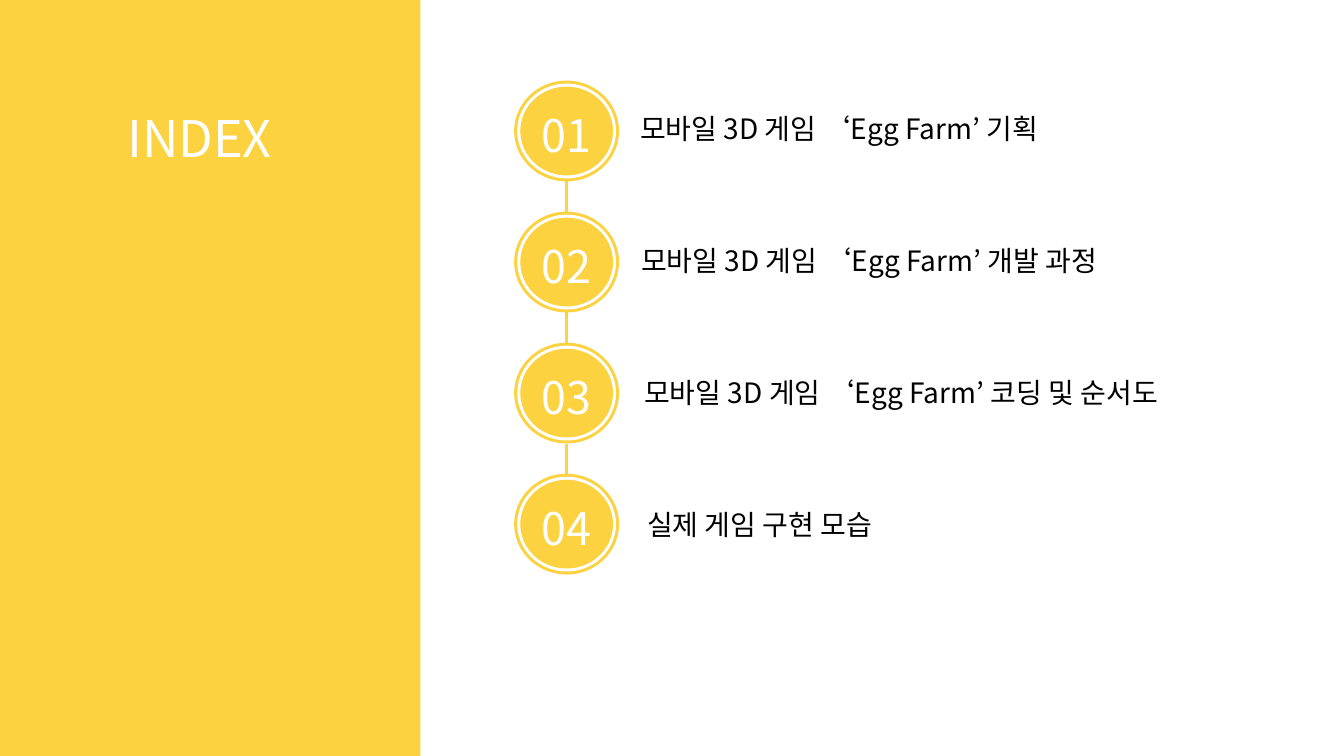
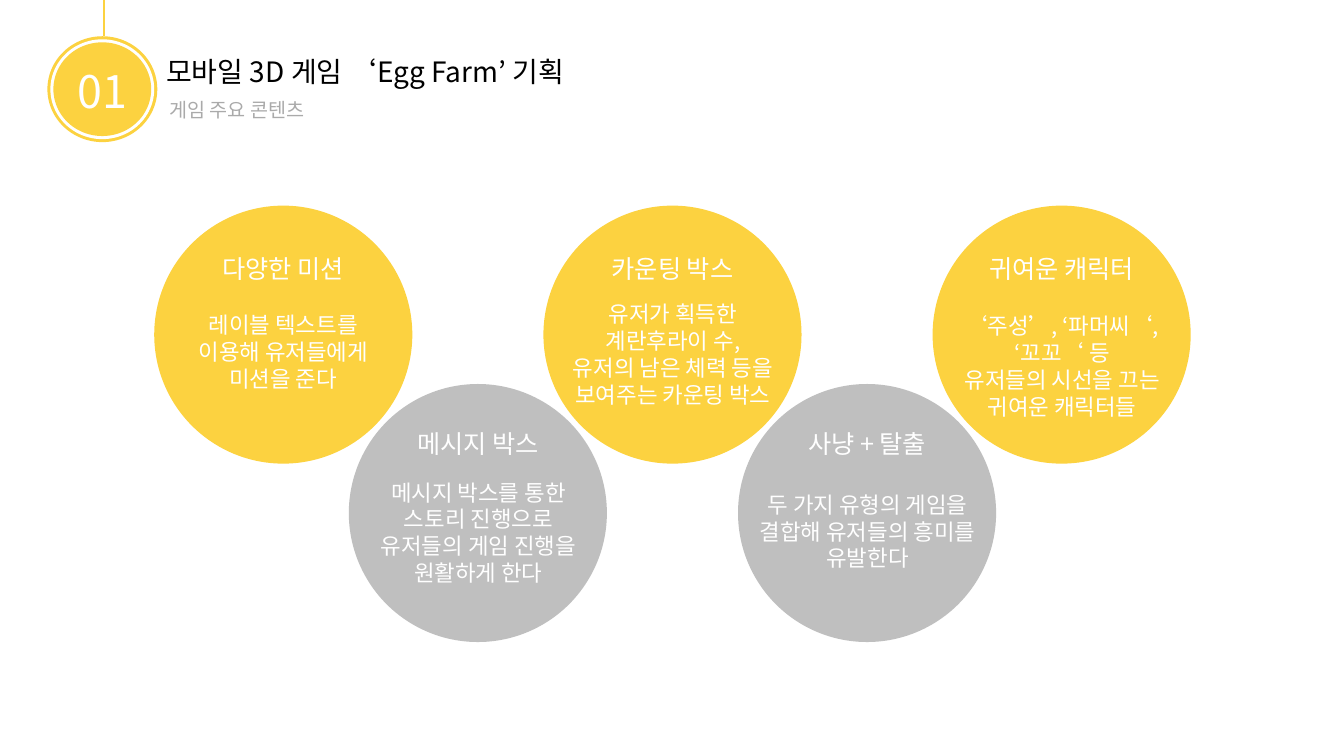
import pptx
import pptx.util
import pptx.dml.color
import pptx.enum.shapes
import pptx.enum.text
import pptx.oxml.ns
import lxml.etree

PX = 9144  # EMU in one px, 100 px to the inch
FONT = "Noto Sans CJK KR"
YELLOW, GREY, WHITE, BLACK, MUTED = "FCD240", "BFBFBF", "FFFFFF", "000000", "AAAAAA"
PLAN = "모바일 3D 게임 ‘Egg Farm’ 기획"
SHAPE = pptx.enum.shapes.MSO_SHAPE
ALIGN = pptx.enum.text.PP_ALIGN

INDEX_ENTRIES = [  # label, left, width
    (PLAN, 625, 477),
    ("모바일 3D 게임 ‘Egg Farm’ 개발 과정", 626, 576),
    ("모바일 3D 게임 ‘Egg Farm’ 코딩 및 순서도", 629, 654),
    ("실제 게임 구현 모습", 632, 358),
]
FEATURES = [  # title, body, body width, body offset from circle top
    ("다양한 미션", ["레이블 텍스트를 이용해 유저들에게 미션을 준다"], 200, 100),
    ("메시지 박스",
     ["메시지 박스를 통한", "스토리 진행으로", "유저들의 게임 진행을 원활하게 한다"], 219, 89),
    ("카운팅 박스",
     ["유저가 획득한", "계란후라이 수,", "유저의 남은 체력 등을 보여주는 카운팅 박스"], 247, 89),
    ("사냥 + 탈출", ["두 가지 유형의 게임을 결합해 유저들의 흥미를 유발한다"], 247, 101),
    ("귀여운 캐릭터",
     ["‘주성’, ‘파머씨‘, ‘꼬꼬‘ 등", "유저들의 시선을 끄는", "귀여운 캐릭터들"], 247, 101),
]


def px(*lengths):
    return [pptx.util.Emu(n * PX) for n in lengths]


def rgb(value):
    return pptx.dml.color.RGBColor.from_string(value)


def add_filled(s, kind, x, y, w, h, fill):
    sp = s.shapes.add_shape(kind, *px(x, y, w, h))
    sp.shadow.inherit = False
    sp.fill.solid()
    sp.fill.fore_color.rgb = rgb(fill)
    sp.line.fill.background()
    return sp


def add_text(s, paragraphs, x, y, w, h, size=20, color=BLACK, align=ALIGN.LEFT):
    """Add a text box; paragraphs is one string or a list of them."""
    if isinstance(paragraphs, str):
        paragraphs = [paragraphs]
    tf = s.shapes.add_textbox(*px(x, y, w, h)).text_frame
    tf.word_wrap = True
    tf.auto_size = pptx.enum.text.MSO_AUTO_SIZE.SHAPE_TO_FIT_TEXT
    for i, text in enumerate(paragraphs):
        p = tf.add_paragraph() if i else tf.paragraphs[0]
        p.alignment = align
        r = p.add_run()
        r.text = text
        r.font.name = FONT
        r.font.size = pptx.util.Pt(size)
        r.font.color.rgb = rgb(color)
        ea = lxml.etree.SubElement(r.font._element, pptx.oxml.ns.qn("a:ea"))
        ea.set("typeface", FONT)


def add_line(s, x, top, bottom, width):
    line = s.shapes.add_connector(
        pptx.enum.shapes.MSO_CONNECTOR.STRAIGHT, *px(x, bottom, x, top))
    line.line.color.rgb = rgb(YELLOW)
    line.line.width = pptx.util.Pt(width)
    lxml.etree.SubElement(line._element.spPr, pptx.oxml.ns.qn("a:effectLst"))


def add_badge(s, number, x, y, w, h):
    """Add a numbered disc with a white ring."""
    for inset, fill in ((0, YELLOW), (3, WHITE), (6, YELLOW)):
        add_filled(s, SHAPE.FLOWCHART_CONNECTOR, x + inset, y + inset,
                   w - 2 * inset, h - 2 * inset, fill)
    add_text(s, f"{number:02d}", x + 8, y + 22, w - 16, 64,
             size=32, color=WHITE, align=ALIGN.CENTER)


def add_side_band(s, x, y, w, h):
    add_filled(s, SHAPE.RECTANGLE, x, y, w, h, YELLOW)
    add_text(s, "INDEX", x + 93, y + 101, 210, 71,
             size=36, color=WHITE, align=ALIGN.CENTER)


def add_index_list(s, x, y):
    w, h, pitch = 104, 100, 130
    for i, (label, label_x, label_w) in enumerate(INDEX_ENTRIES):
        top = y + i * pitch
        if i:
            add_line(s, x + w // 2, top - pitch + h, top, 2.25)
        add_badge(s, i + 1, x, top, w, h)
        add_text(s, label, label_x, y + 26 + i * (pitch + 1), label_w, 44)


def add_header(s, number, title, subtitle, x, y):
    add_badge(s, number, x, y, 109, 105)
    add_line(s, x + 56, 0, y, 1.5)
    add_text(s, title, x + 108, y + 13, 477, 44)
    add_text(s, subtitle, x + 111, y + 56, 411, 34, size=14, color=MUTED)


def add_features(s, x, y):
    """Add circles that alternate between an upper and a lower row."""
    size, step, drop = 256, 193, 177
    circles = []
    for i, feature in enumerate(FEATURES):
        lower = i % 2
        left, top = x + i * step, y + lower * drop
        add_filled(s, SHAPE.FLOWCHART_CONNECTOR, left, top, size, size,
                   GREY if lower else YELLOW)
        circles.append((left + size // 2, top, 39 if lower else 42, feature))
    for center, top, title_dy, (title, body, body_w, body_dy) in circles:
        add_text(s, title, center - 100, top + title_dy, 200, 40,
                 size=18, color=WHITE, align=ALIGN.CENTER)
        add_text(s, body, center - body_w // 2, top + body_dy, body_w, 91,
                 size=16, color=WHITE, align=ALIGN.CENTER)


def index_slide(s):
    add_side_band(s, 0, 0, 417, 750)
    add_index_list(s, 510, 80)


def features_slide(s):
    add_header(s, 1, PLAN, "게임 주요 콘텐츠", 47, 36)
    add_features(s, 153, 204)


def main():
    prs = pptx.Presentation()
    prs.slide_width, prs.slide_height = pptx.util.Inches(13.33), pptx.util.Inches(7.5)
    for build in (index_slide, features_slide):
        build(prs.slides.add_slide(prs.slide_layouts[6]))
    prs.save("out.pptx")


if __name__ == "__main__":
    main()
